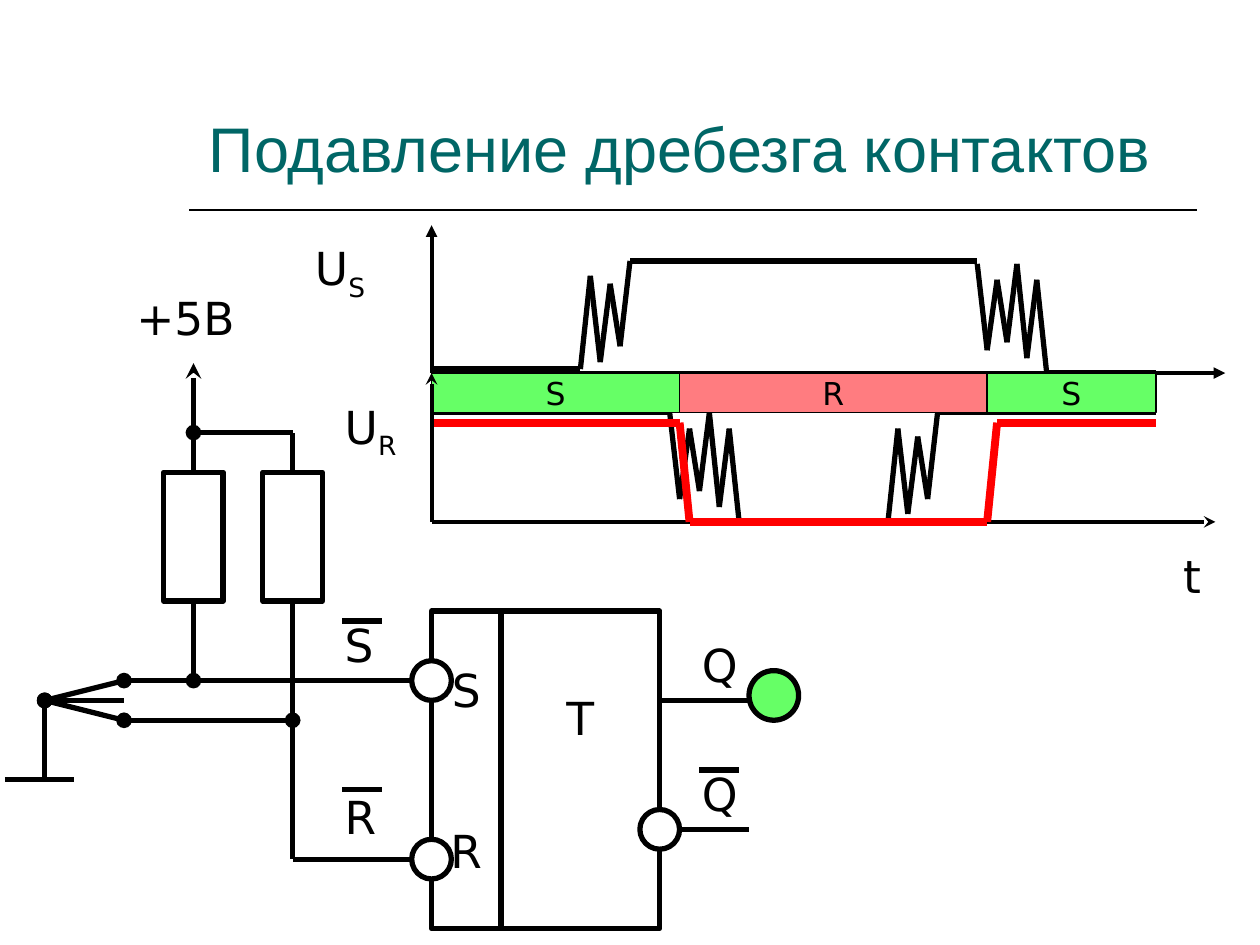
from dataclasses import dataclass
from typing import Optional

from lxml import etree
from pptx import Presentation
from pptx import util as u
from pptx.dml.color import RGBColor
from pptx.enum import shapes, text
from pptx.oxml.ns import qn

COLORS = {
    "black": "000000",
    "white": "FFFFFF",
    "teal": "006666",
    "green": "66FF66",
    "pink": "FF7C80",
    "red": "FF0000",
}
CELL = u.Mm(2)
LEFT, TOP = u.Mm(1), u.Mm(1.2)
RECTANGLE = shapes.MSO_SHAPE.RECTANGLE
ELLIPSE = shapes.MSO_SHAPE.OVAL
CENTER = text.PP_ALIGN.CENTER
MIDDLE = text.MSO_ANCHOR.MIDDLE


@dataclass
class Box:
    column: float
    row: float
    columns: float
    rows: float
    fill: str = "white"
    width: float = 3
    kind: shapes.MSO_SHAPE = RECTANGLE


@dataclass
class Wire:
    start: tuple
    end: tuple
    width: float = 3
    color: str = "black"
    head: Optional[str] = None
    tail: Optional[str] = None
    begin: Optional[tuple] = None  # (shape, side)


@dataclass
class Label:
    words: str
    column: float
    row: float
    columns: float = 9
    subscript: str = ""


def x(column: float) -> int:
    return int(LEFT + column * CELL)


def y(row: float) -> int:
    return int(TOP + row * CELL)


def rgb(name: str) -> RGBColor:
    return RGBColor.from_string(COLORS[name])


def write(shape, words, *, size=26, font="DejaVu Sans", color="black", align=None,
          anchor=text.MSO_ANCHOR.TOP, wrap=True, gap=0, top=0.05, subscript=""):
    """Fill a shape with one paragraph per line; gap is the space between them."""
    frame = shape.text_frame
    frame.word_wrap = wrap
    frame.vertical_anchor = anchor
    frame.margin_top = u.Inches(top)
    for index, line in enumerate(words.split("\n")):
        paragraph = frame.add_paragraph() if index else frame.paragraphs[0]
        paragraph.alignment = align
        if index:
            paragraph.space_before = u.Pt(gap)
        for piece in filter(None, (line, subscript)):
            run = paragraph.add_run()
            run.text = piece
            run.font.size = u.Pt(size)
            run.font.name = font
            run.font.color.rgb = rgb(color)
            if piece is subscript:
                run._r.get_or_add_rPr().set("baseline", "-25000")


def draw_box(slide, box: Box):
    shape = slide.shapes.add_shape(box.kind, x(box.column), y(box.row),
                                   int(box.columns * CELL), int(box.rows * CELL))
    shape.shadow.inherit = False
    shape.fill.solid()
    shape.fill.fore_color.rgb = rgb(box.fill)
    shape.line.color.rgb = rgb("black")
    shape.line.width = u.Pt(box.width)
    return shape


def draw_wire(slide, wire: Wire) -> None:
    connector = slide.shapes.add_connector(
        shapes.MSO_CONNECTOR.STRAIGHT, x(wire.start[0]), y(wire.start[1]),
        x(wire.end[0]), y(wire.end[1]))
    if wire.begin:
        connector.begin_connect(*wire.begin)
    connector.line.color.rgb = rgb(wire.color)
    connector.line.width = u.Pt(wire.width)
    properties = connector._element.spPr
    outline = properties.find(qn("a:ln"))
    for tag, kind in (("a:headEnd", wire.head), ("a:tailEnd", wire.tail)):
        if kind:
            etree.SubElement(outline, qn(tag), type=kind)
    etree.SubElement(properties, qn("a:effectLst"))


def draw_trace(slide, points: list, **style) -> None:
    for start, end in zip(points, points[1:]):
        draw_wire(slide, Wire(start, end, **style))


def draw_label(slide, label: Label) -> None:
    box = slide.shapes.add_textbox(x(label.column), y(label.row),
                                   int(label.columns * CELL), int(7 * CELL))
    write(box, label.words, subscript=label.subscript)


def draw_title(slide) -> None:
    title = slide.shapes.add_textbox(x(19.3), y(4.35), 100 * CELL, int(14.35 * CELL))
    write(title, "Подавление дребезга контактов", size=36, font="Arial",
          color="teal", anchor=text.MSO_ANCHOR.BOTTOM)
    draw_wire(slide, Wire((18.55, 20.6), (120.15, 20.6), width=1))


def draw_circuit(slide) -> None:
    inputs = draw_box(slide, Box(43, 61, 7, 32))
    write(inputs, "S\nR", align=CENTER, anchor=MIDDLE, wrap=False, gap=60.5)
    trigger = draw_box(slide, Box(50, 61, 16, 32))
    write(trigger, "T", align=CENTER, wrap=False, top=0.63)
    left, right = (draw_box(slide, Box(column, 47, 6, 13)) for column in (16, 26))

    wires = [
        Wire((19, 47), (19, 36), tail="stealth", begin=(left, 0)),
        Wire((19, 60), (19, 68), begin=(left, 2)),
        Wire((29, 47), (29, 43), begin=(right, 0)),
        Wire((29, 60), (29, 72), begin=(right, 2)),
        Wire((19, 43), (29, 43), head="oval"),
        Wire((29, 72), (29, 86), head="oval"),
        Wire((29, 86), (43, 86)),
        Wire((12, 68), (19, 68), head="oval"),
        Wire((19, 68), (43, 68), head="oval"),
        Wire((12, 72), (29, 72), head="oval"),
        Wire((0, 78), (7, 78)),
        Wire((66, 70), (75, 70)),
        Wire((66, 83), (75, 83)),
    ]
    switch = (4, 70)
    wires += [Wire(switch, end, head="oval")
              for end in ((12, 68), (12, 70), (12, 72), (4, 78))]
    overlines = [Wire((column, row), (column + 4, row))
                 for column, row in ((34, 62), (34, 79), (70, 77))]
    for wire in wires + overlines:
        draw_wire(slide, wire)

    for column, row in ((43, 68), (43, 86), (66, 83)):
        draw_box(slide, Box(column - 2, row - 2, 4, 4, kind=ELLIPSE))
    draw_box(slide, Box(75, 67, 5, 5, fill="green", kind=ELLIPSE))

    for label in (Label("+5В", 12, 28, columns=15), Label("Q", 69, 63),
                  Label("S", 33, 61), Label("Q", 69, 76), Label("R", 33, 78.3)):
        draw_label(slide, label)


def draw_timing(slide) -> None:
    for end, tail in (((43, 22.1), "triangle"), ((123, 37), "triangle")):
        draw_wire(slide, Wire((43, 37), end, width=2.25, tail=tail))
    draw_wire(slide, Wire((43, 52), (122, 52), width=2.25, tail="stealth"))

    draw_trace(slide, [(43, 36.6), (58, 36.6), (59, 27.2), (60, 35.9), (61, 28),
                       (62, 34.3), (63, 25.7), (88, 25.7), (98, 25.7)])
    draw_trace(slide, [(98, 26), (99, 34.7), (100, 27.6), (101, 33.9), (102, 26),
                       (103, 35.5), (104, 27.6), (105, 37), (116, 37)])
    draw_trace(slide, [(43, 41), (67, 41), (68, 49.7), (69, 42.6), (70, 48.9),
                       (71, 41), (72, 50.5), (73, 42.6), (74, 52), (89, 52),
                       (90, 42.6), (91, 51.2), (92, 43.4), (93, 49.7), (94, 41),
                       (116, 41)])

    for name, start, end, fill in (("S", 43, 68, "green"), ("R", 68, 99, "pink"),
                                   ("S", 99, 116, "green")):
        band = draw_box(slide, Box(start, 37, end - start, 4, fill=fill, width=1))
        write(band, name, size=18, align=CENTER, anchor=MIDDLE, wrap=False)
    draw_trace(slide, [(43, 42), (68, 42), (69, 52), (99, 52), (100, 42), (116, 42)],
               width=4.5, color="red")
    draw_wire(slide, Wire((43, 52), (43, 37), width=2.25, tail="stealth"))

    for label in (Label("U", 30, 23, subscript="S"),
                  Label("U", 33, 39, subscript="R"), Label("t", 117.5, 54)):
        draw_label(slide, label)


def main() -> None:
    presentation = Presentation()
    presentation.slide_width = u.Inches(10)
    presentation.slide_height = u.Inches(7.5)
    slide = presentation.slides.add_slide(presentation.slide_layouts[6])
    draw_title(slide)
    draw_circuit(slide)
    draw_timing(slide)
    presentation.save("out.pptx")


if __name__ == "__main__":
    main()
